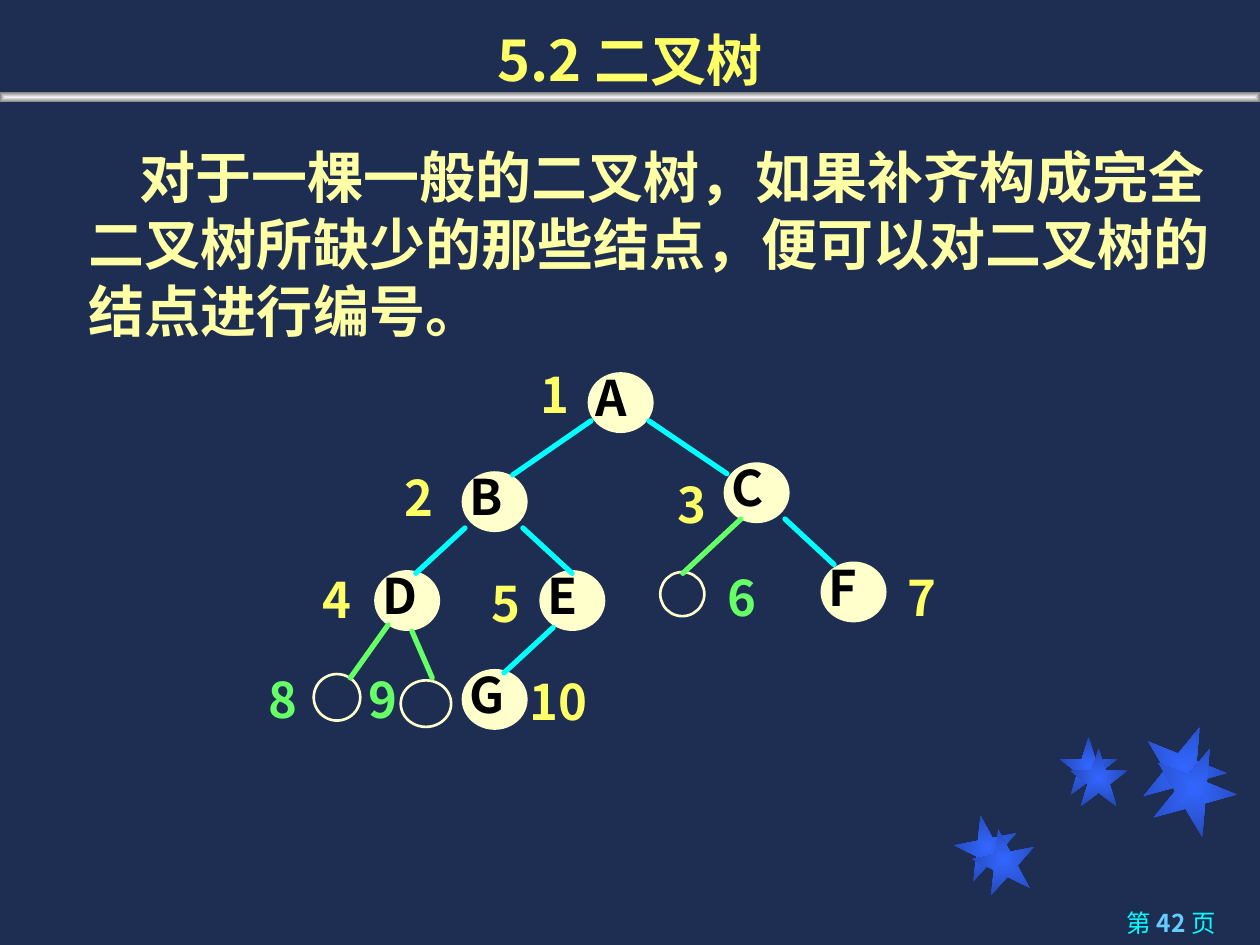
from dataclasses import dataclass
from lxml import etree
from pptx import Presentation
from pptx.dml.color import RGBColor
from pptx.enum import shapes as es, text as et
from pptx.oxml.ns import qn
from pptx.util import Pt


@dataclass(frozen=True)
class Theme:
    """Colours, fonts and type sizes."""
    back: str = "1E2E53"
    title: str = "FFFF66"
    body: str = "FFFFA5"
    node: str = "FFFFCC"
    ink: str = "000000"
    edge: str = "00FFFF"
    extra: str = "66FF66"
    page: str = "66CCFF"
    star: tuple = ("3366FF", "2449B6")
    bar: tuple = ("F2F2F2", "808080")
    font: str = "Noto Sans CJK SC"
    latin: str = "Arial"
    head: int = 32
    mark: int = 28
    foot: int = 14


T = Theme()
LEFT, MID, RIGHT = et.PP_ALIGN.LEFT, et.PP_ALIGN.CENTER, et.PP_ALIGN.RIGHT
OVAL = es.MSO_SHAPE.OVAL

# Node circles, by label: left, top
NODES = {"A": (336.3, 213.2), "B": (264.3, 269.8), "C": (414, 264.7),
         "D": (214.3, 326.3), "E": (308.7, 326.3), "F": (469.4, 321.4),
         "G": (264.3, 382.8)}
# Filled-in nodes: left, top, width, height
BLANKS = [(377.3, 326.9, 25.2, 25.2), (179.3, 385.2, 26.6, 26.6),
          (229, 388.8, 28.8, 26.6)]
# Edges: from x, y to x, y
EDGES = [(337.7, 240.5, 293, 271.4), (370.8, 240.5, 415.4, 270.7),
         (298.8, 301.7, 326.9, 327.6), (316.1, 358.6, 288, 384.5),
         (265.7, 301.7, 237.6, 327.6), (448.6, 296.6, 476.6, 322.6)]
ADDED = [(423.4, 296.6, 390.2, 327.6), (221.8, 357.1, 200.2, 387.4),
         (235.4, 360.7, 247, 387.4)]
# Numbers: left, top
NUMS = {1: (292.3, 202.3), 2: (214.6, 261.4), 3: (370.8, 265),
        4: (167.8, 319.7), 5: (264.2, 321.8), 6: (398.9, 318.2),
        7: (501.8, 318.2), 8: (136.8, 376.6), 9: (193.7, 376.6),
        10: (292.3, 378)}
NEW = {6, 8, 9}
# Star pairs: left, top, size, shift x, shift y, turn
STARS = [(545.8, 465.8, 36, 10.1, 7.9, 349), (605.5, 421.2, 33.1, 5.8, 6.5, 0),
         (652.3, 414, 48.2, 5.8, 12.2, 22)]


def rgb(code):
    """Make a colour from its hex code."""
    return RGBColor.from_string(code)


def place(item, x, y, w, h):
    """Move and size an item."""
    item.left, item.top, item.width, item.height = map(Pt, (x, y, w, h))


def write(item, runs, size, align, pitch=None, font=T.font,
          pad=(7.2, 3.6, 7.2, 3.6)):
    """Fill one paragraph from (text, colour, bold) runs."""
    frame = item.text_frame
    frame.word_wrap = True
    frame.auto_size = et.MSO_AUTO_SIZE.NONE
    (frame.margin_left, frame.margin_top,
     frame.margin_right, frame.margin_bottom) = map(Pt, pad)
    para = frame.paragraphs[0]
    para.alignment = align
    para.space_before = Pt(0)
    if pitch:
        para.line_spacing = Pt(pitch)
    for words, tint, bold in runs:
        run = para.add_run()
        run.text = words
        run.font.size, run.font.bold = Pt(size), bold
        run.font.name = font
        run.font.color.rgb = rgb(tint)
        etree.SubElement(run.font._element, qn("a:ea"), typeface=T.font)
    return para


def label(slide, box, runs, size, align, pitch, **more):
    """Add a text box."""
    item = slide.shapes.add_textbox(*map(Pt, box))
    write(item, runs, size, align, pitch, **more)


def shape(slide, kind, box, turn=0):
    """Add a preset shape with no shadow, fill or line."""
    item = slide.shapes.add_shape(kind, *map(Pt, box))
    item.shadow.inherit = False
    item.fill.background()
    item.line.fill.background()
    item.rotation = turn
    return item


def glow(item, tints):
    """Fill a shape with a gradient from its centre outwards."""
    item.fill.gradient()
    for stop, tint in zip(item.fill.gradient_stops, tints):
        stop.color.rgb = rgb(tint)
    for pos, stop in enumerate(item.fill.gradient_stops):
        stop.position = pos
    grad = item._element.spPr.find(qn("a:gradFill"))
    grad.remove(grad.find(qn("a:lin")))
    way = etree.SubElement(grad, qn("a:path"))
    way.set("path", "shape")
    etree.SubElement(way, qn("a:fillToRect"),
                     dict.fromkeys("ltrb", "50000"))


def ring(slide, box, width, fill=None):
    """Add a node circle, filled or hollow."""
    item = shape(slide, OVAL, box)
    item.line.color.rgb, item.line.width = rgb(T.node), Pt(width)
    if fill:
        item.fill.solid()
        item.fill.fore_color.rgb = rgb(fill)


def edge(slide, ends, tint):
    """Add a tree edge with round ends."""
    item = slide.shapes.add_connector(es.MSO_CONNECTOR.STRAIGHT,
                                      *map(Pt, ends))
    item.line.color.rgb, item.line.width = rgb(tint), Pt(3)
    item.line._get_or_add_ln().set("cap", "rnd")
    etree.SubElement(item._element.spPr, qn("a:effectLst"))


def decor(slide):
    """Draw the stars, the bar and the page number."""
    for x, y, size, dx, dy, turn in STARS:
        for step in (0, 1):
            box = (x + step * dx, y + step * dy, size, size)
            glow(shape(slide, es.MSO_SHAPE.STAR_5_POINT, box, turn), T.star)
    glow(shape(slide, es.MSO_SHAPE.RECTANGLE, (0, 52.6, 720, 5.8)), T.bar)
    label(slide, (512.6, 514.1, 189.4, 25.9),
          [("第 ", T.edge, False), ("42 ", T.page, True),
           ("页", T.edge, False)], T.foot, RIGHT, 18)


def prose(slide):
    """Fill the title and the body."""
    head, body = slide.placeholders
    place(head, 0, 0, 720, 54)
    write(head, [("5.2 二叉树", T.title, True)], T.head, MID,
          pad=(7.2, 3.6, 7.2, 0.8))
    head.text_frame.vertical_anchor = et.MSO_ANCHOR.BOTTOM
    place(body, 16.6, 74.9, 689.8, 129.6)
    para = write(body, [("对于一棵一般的二叉树，如果补齐构成完全二叉树所缺少的"
                         "那些结点，便可以对二叉树的结点进行编号。",
                         T.body, True)],
                 T.head, LEFT, 38.3, T.latin, (7.2, 6.5, 7.2, 3.6))
    props = para._p.get_or_add_pPr()
    props.set("marL", str(Pt(27)))
    props.set("indent", str(Pt(29)))
    etree.SubElement(props, qn("a:buNone"))


def tree(slide):
    """Draw the numbered binary tree."""
    for name, (x, y) in NODES.items():
        ring(slide, (x, y, 36.7, 33.8), 1, T.node)
        label(slide, (x - 9.4, y - 9, 66.2, 41), [(name, T.ink, True)],
              T.mark, LEFT, 36, pad=(13.5, 3.6, 7.2, 3.6))
    for ends in EDGES:
        edge(slide, ends, T.edge)
    for num, (x, y) in NUMS.items():
        tint = T.extra if num in NEW else T.title
        label(slide, (x, y, 54 if num > 9 else 49.7, 41),
              [(str(num), tint, True)], T.mark, MID, 36)
    for box in BLANKS:
        ring(slide, box, 1.5)
    for ends in ADDED:
        edge(slide, ends, T.extra)


def main():
    """Build and save the slide."""
    deck = Presentation()
    deck.slide_width, deck.slide_height = Pt(720), Pt(540)
    slide = deck.slides.add_slide(deck.slide_layouts[1])
    slide.background.fill.solid()
    slide.background.fill.fore_color.rgb = rgb(T.back)
    decor(slide)
    prose(slide)
    tree(slide)
    deck.save("out.pptx")


main()
